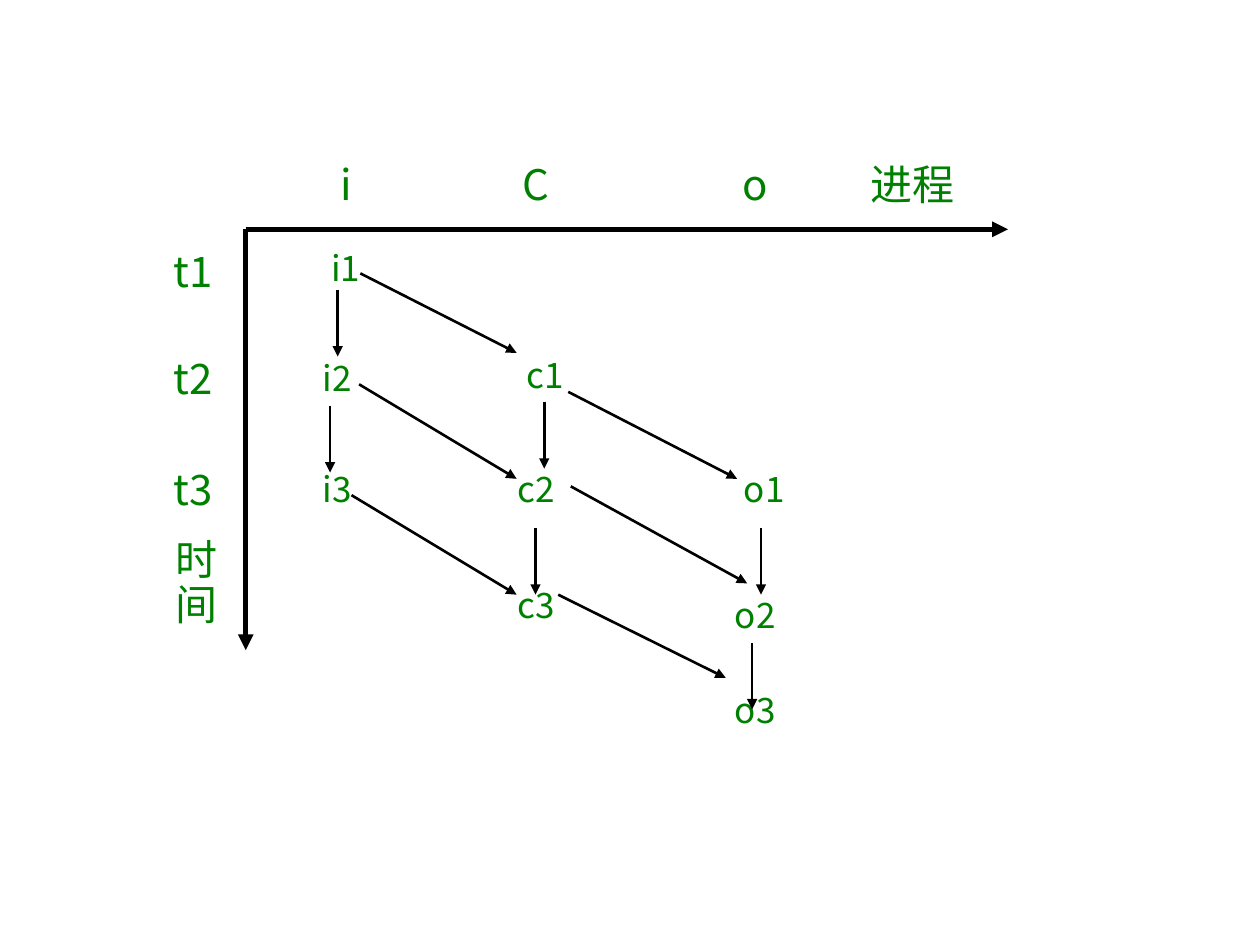
from lxml import etree
from pptx import Presentation
from pptx.dml.color import RGBColor
from pptx.enum.shapes import MSO_CONNECTOR
from pptx.enum.text import MSO_ANCHOR, PP_ALIGN
from pptx.oxml.ns import qn
from pptx.util import Inches, Pt

GREEN = RGBColor(0x00, 0x80, 0x00)
BLACK = RGBColor(0x00, 0x00, 0x00)
STRAIGHT = MSO_CONNECTOR.STRAIGHT
TOP = MSO_ANCHOR.TOP
CENTER = PP_ALIGN.CENTER

SLIDE_WIDTH, SLIDE_HEIGHT = 10, 7.5
COLUMNS, ROWS = 100, 75  # grid cells across and down the slide
LABEL_WIDTH, LABEL_HEIGHT = 3.7, 3.8
HEADING_SIZE, STEP_SIZE = 24, 20
AXIS_WIDTH, ARROW_WIDTH = 3, 1.5
DROP = 5.3  # length of a vertical arrow


class Diagram:
    """Holds the style and the current slide; lengths are grid cells."""

    font_name = "Noto Sans CJK SC"
    frame_format = {"margin_left": 0, "margin_right": 0, "margin_top": 0,
                    "margin_bottom": 0, "word_wrap": True,
                    "vertical_anchor": TOP}
    paragraph_format = {"alignment": CENTER, "line_spacing": 0.9}

    def __init__(self, presentation):
        self.slide = presentation.slides.add_slide(presentation.slide_layouts[6])
        self.column = Inches(SLIDE_WIDTH) / COLUMNS
        self.row = Inches(SLIDE_HEIGHT) / ROWS

    def place(self, column, row):
        return round(column * self.column), round(row * self.row)

    @staticmethod
    def apply(target, values):
        for name, value in values.items():
            setattr(target, name, value)

    def label(self, text, column, row, size,
              width=LABEL_WIDTH, height=LABEL_HEIGHT):
        shape = self.slide.shapes.add_textbox(
            *self.place(column, row), *self.place(width, height))
        self.apply(shape.text_frame, self.frame_format)
        paragraph = shape.text_frame.paragraphs[0]
        self.apply(paragraph, self.paragraph_format)
        run = paragraph.add_run()
        run.text = text
        self.apply(run.font, {"name": self.font_name, "size": Pt(size)})
        run.font.color.rgb = GREEN
        # East Asian characters take their own typeface
        typeface = etree.SubElement(run.font._element, qn("a:ea"))
        typeface.set("typeface", self.font_name)

    def arrow(self, start, end, width=ARROW_WIDTH):
        connector = self.slide.shapes.add_connector(
            STRAIGHT, *self.place(*start), *self.place(*end))
        connector.line.color.rgb = BLACK
        connector.line.width = Pt(width)
        head = etree.SubElement(connector.line._get_or_add_ln(), qn("a:tailEnd"))
        head.set("type", "triangle")
        etree.SubElement(connector._element.spPr, qn("a:effectLst"))


def main():
    presentation = Presentation()
    presentation.slide_width = Inches(SLIDE_WIDTH)
    presentation.slide_height = Inches(SLIDE_HEIGHT)
    diagram = Diagram(presentation)

    # Axes: process across, time down
    origin = (19.5, 18.2)
    for end in ((80, 18.2), (19.5, 51.6)):
        diagram.arrow(origin, end, AXIS_WIDTH)

    # Axis headings
    for text, column in (("i", 25.6), ("C", 40.7), ("o", 58.1)):
        diagram.label(text, column, 13, HEADING_SIZE)
    for text, row in (("t1", 19.9), ("t2", 28.4), ("t3", 37.2)):
        diagram.label(text, 13.5, row, HEADING_SIZE)
    diagram.label("进程", 67.9, 13, HEADING_SIZE, width=9.1)
    diagram.label("时间", 12.6, 42.8, HEADING_SIZE, width=6, height=7)

    # Steps of each process
    steps = {
        "i": ((25.6, 19.9), (24.9, 28.7), (24.9, 37.5)),
        "c": ((41.4, 28.4), (40.7, 37.5), (40.7, 46.7)),
        "o": ((58.8, 37.5), (58.1, 47.5), (58.1, 55)),
    }
    for process, places in steps.items():
        for number, (column, row) in enumerate(places, start=1):
            diagram.label(f"{process}{number}", column, row, STEP_SIZE)

    # Next step of the same process
    for column, row in ((26.8, 23), (26.2, 32.2),
                        (43.2, 31.9), (42.5, 41.9),
                        (60.4, 41.9), (59.7, 51)):
        diagram.arrow((column, row), (column, row + DROP))

    # Hand-over to the next process
    for start, end in (
        ((28.6, 21.7), (41, 28)),
        ((28.5, 30.5), (41, 38)),
        ((27.9, 39.3), (41, 47.2)),
        ((45.1, 31.1), (58.5, 38)),
        ((45.3, 38.6), (59.3, 46.3)),
        ((44.3, 47.2), (57.6, 53.8)),
    ):
        diagram.arrow(start, end)

    presentation.save("out.pptx")


if __name__ == "__main__":
    main()
